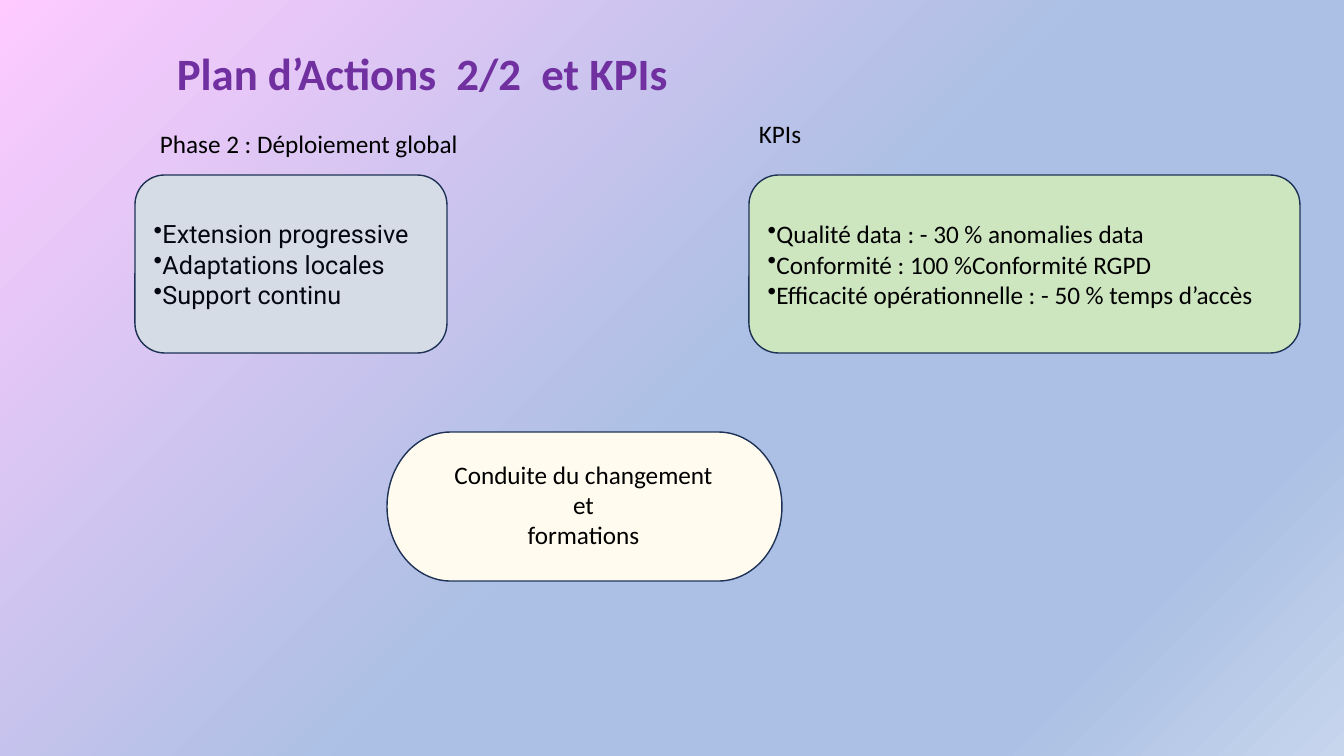
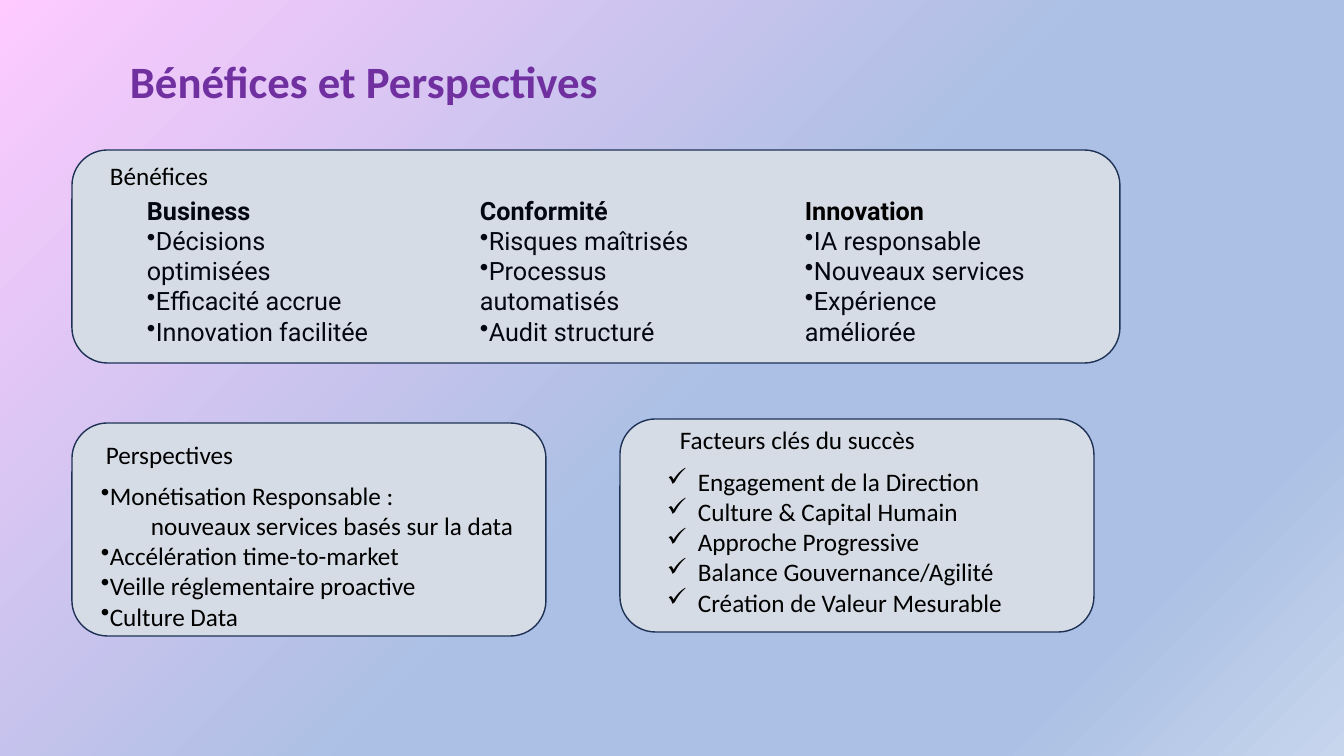
from dataclasses import dataclass

from lxml import etree
from pptx import Presentation
from pptx import util as u
from pptx.dml.color import RGBColor
from pptx.enum import shapes, text
from pptx.oxml import ns


@dataclass(frozen=True)
class Theme:
    body_face: str = "Calibri"
    list_face: str = "Roboto"
    title_size: int = 32
    body_size: int = 18
    black: str = "000000"
    ink: str = "030712"
    purple: str = "7030A0"
    outline: str = "1E3256"
    grey: str = "D6DCE5"
    green: str = "CEE6C0"
    cream: str = "FFFBEF"
    backdrop: tuple = ((0, "FECAFF"), (53, "ABC0E4"), (83, "ABC0E4"), (100, "C7D5ED"))


theme = Theme()
PX = 12192000 / 1344
LIST_STYLE = dict(face=theme.list_face, color=theme.ink)
TITLE_STYLE = dict(size=theme.title_size, color=theme.purple, bold=True)


def add_box(slide, x, y, w, h, kind=None, fill=None):
    place = [u.Emu(round(n * PX)) for n in (x, y, w, h)]
    if kind is None:
        box = slide.shapes.add_textbox(*place)
        box.text_frame.auto_size = text.MSO_AUTO_SIZE.SHAPE_TO_FIT_TEXT
    else:
        box = slide.shapes.add_shape(kind, *place)
        box.shadow.inherit = False
        box.line.color.rgb = RGBColor.from_string(theme.outline)
        box.line.width = u.Pt(1)
        box.text_frame.vertical_anchor = text.MSO_ANCHOR.MIDDLE
    if fill:
        box.fill.solid()
        box.fill.fore_color.rgb = RGBColor.from_string(fill)
    box.text_frame.word_wrap = True
    return box


def write(box, content, face=theme.body_face, size=theme.body_size, color=theme.black,
          bold=False, align=text.PP_ALIGN.LEFT, bullet=None, left=0, hanging=0, level=0):
    frame = box.text_frame
    for line in content.split("\n"):
        first = frame.paragraphs[0]
        paragraph = frame.add_paragraph() if first.runs else first
        paragraph.alignment = align
        paragraph.level = level
        properties = paragraph._p.get_or_add_pPr()
        properties.set("marL", str(round(left * PX)))
        properties.set("indent", str(round(-hanging * PX)))
        if bullet:
            etree.SubElement(properties, ns.qn("a:buChar")).set("char", bullet)
        run = paragraph.add_run()
        run.text = line
        run.font.name = face
        run.font.size = u.Pt(size)
        run.font.bold = bold
        run.font.color.rgb = RGBColor.from_string(color)


ROUND = shapes.MSO_SHAPE.ROUNDED_RECTANGLE
TERMINATOR = shapes.MSO_SHAPE.FLOWCHART_TERMINATOR

prs = Presentation()
prs.slide_width = u.Emu(round(1344 * PX))
prs.slide_height = u.Emu(round(756 * PX))

backdrop = prs.slide_master.background.fill
backdrop.gradient()
backdrop.gradient_angle = 315
stops = prs.slide_master.element.xpath("p:cSld/p:bg//a:gsLst")[0]
for stop in list(stops):
    stops.remove(stop)
for position, color in theme.backdrop:
    stop = etree.SubElement(stops, ns.qn("a:gs"))
    stop.set("pos", str(position * 1000))
    etree.SubElement(stop, ns.qn("a:srgbClr")).set("val", color)

blank = prs.slide_layouts[6]
plan = prs.slides.add_slide(blank)
benefits = prs.slides.add_slide(blank)

for slide, x, y, w, title in (
    (plan, 167, 41, 547, "Plan d’Actions  2/2  et KPIs"),
    (benefits, 120, 49, 517, "Bénéfices et Perspectives"),
):
    write(add_box(slide, x, y, w, 65), title, **TITLE_STYLE)

for x, y, heading in ((150, 123, "Phase 2 : Déploiement global"), (749, 113, "KPIs")):
    write(add_box(plan, x, y, 331, 40), heading)

deployment = add_box(plan, 135, 175, 312, 178, ROUND, theme.grey)
write(deployment, "Extension progressive\nAdaptations locales\nSupport continu",
      bullet="•", **LIST_STYLE)

kpis = add_box(plan, 749, 175, 551, 178, ROUND, theme.green)
write(kpis, "Qualité data : - 30 % anomalies data\nConformité : 100 %Conformité RGPD\n"
      "Efficacité opérationnelle : - 50 % temps d’accès", bullet="•")

add_box(plan, 387, 432, 395, 149, TERMINATOR, theme.cream)
training = add_box(plan, 433, 454, 301, 102, fill=theme.cream)
write(training, "Conduite du changement et\nformations", align=text.PP_ALIGN.CENTER)

for x, y, w in ((72, 150, 1048), (72, 423, 474), (620, 419, 474)):
    add_box(benefits, x, y, w, 213, ROUND, theme.grey)

for x, y, heading in (
    (100, 155, "Bénéfices"),
    (96, 434, "Perspectives"),
    (670, 419, "Facteurs clés du succès"),
):
    write(add_box(benefits, x, y, 282, 40), heading)

for x, heading, color, gains in (
    (137, "Business", theme.ink,
     "Décisions optimisées\nEfficacité accrue\nInnovation facilitée"),
    (470, "Conformité", theme.ink,
     "Risques maîtrisés\nProcessus automatisés\nAudit structuré"),
    (795, "Innovation", theme.black,
     "IA responsable\nNouveaux services\nExpérience améliorée"),
):
    column = add_box(benefits, x, 190, 267, 163)
    write(column, heading, face=theme.list_face, color=color, bold=True)
    write(column, gains, bullet="•", **LIST_STYLE)

outlook = add_box(benefits, 91, 475, 456, 163)
write(outlook, "Monétisation Responsable :", bullet="•")
write(outlook, "nouveaux services basés sur la data", left=50, level=1)
write(outlook, "Accélération time-to-market\nVeille réglementaire proactive\nCulture Data",
      bullet="•")

success = add_box(benefits, 657, 461, 373, 163)
write(success, "Engagement de la Direction\nCulture & Capital Humain\nApproche Progressive\n"
      "Balance Gouvernance/Agilité\nCréation de Valeur Mesurable",
      bullet="✓", left=31, hanging=31)

prs.save("out.pptx")
